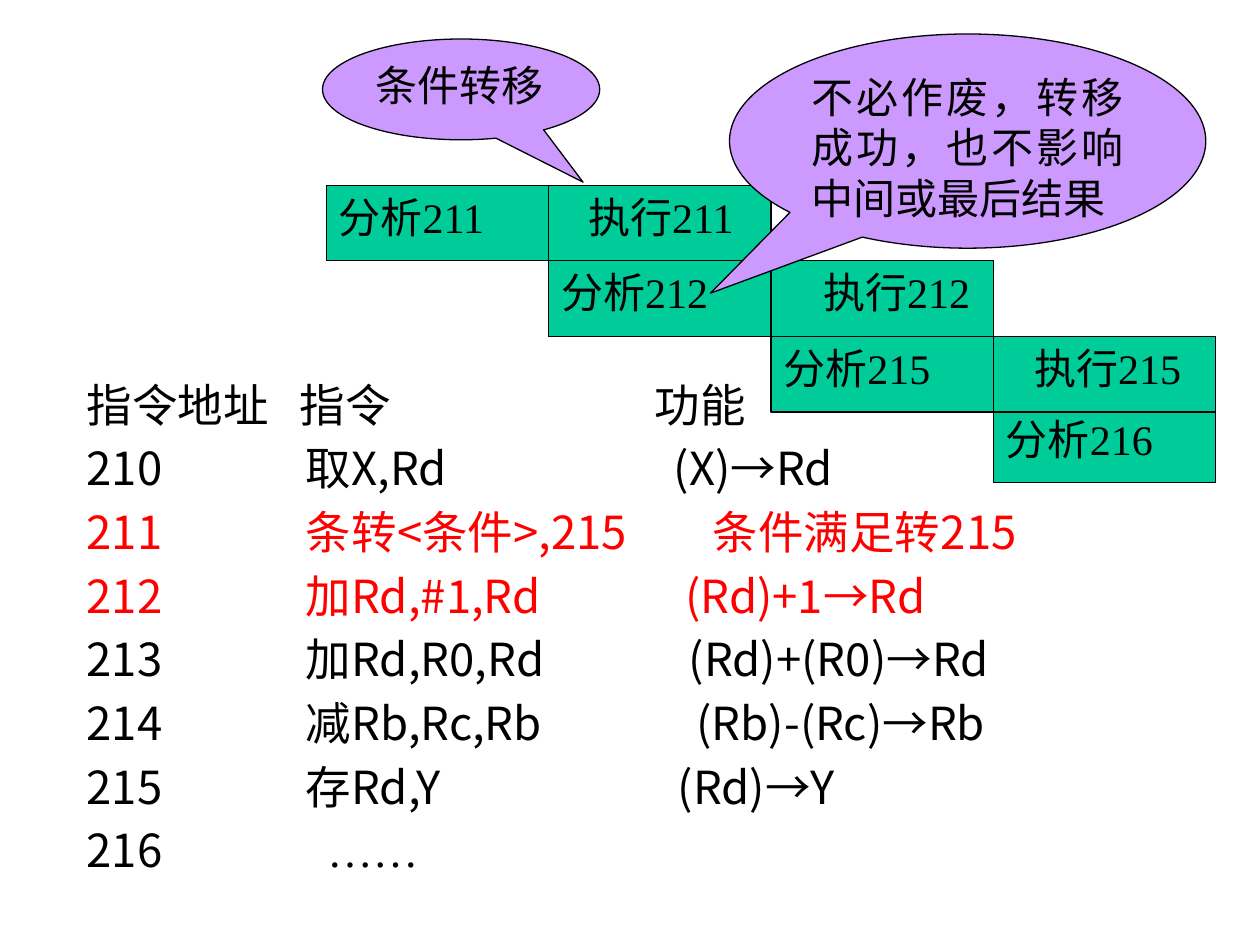
from pptx import Presentation
from pptx.dml.color import RGBColor
from pptx.enum.shapes import MSO_CONNECTOR, MSO_SHAPE
from pptx.enum.text import MSO_ANCHOR, PP_ALIGN
from pptx.oxml.ns import qn
from pptx.util import Inches, Pt
from lxml import etree


def color(value):
    return RGBColor.from_string(value)


def add_label(shape_type, left, top, width, height, fill, text, tab=None):
    shape = slide.shapes.add_shape(
        shape_type, Inches(left), Inches(top), Inches(width), Inches(height))
    shape.shadow.inherit = False
    shape.fill.solid()
    shape.fill.fore_color.rgb = color(fill)
    shape.line.color.rgb = color(BLACK)
    shape.line.width = Pt(0.75)
    shape.text_frame.vertical_anchor = MSO_ANCHOR.TOP
    shape.text_frame.text = text
    paragraph = shape.text_frame.paragraphs[0]
    paragraph.alignment = PP_ALIGN.JUSTIFY
    if tab:
        tab_list = etree.SubElement(paragraph._p.get_or_add_pPr(), qn("a:tabLst"))
        etree.SubElement(tab_list, qn("a:tab"), pos=str(Inches(tab)), algn="l")
    for run in paragraph.runs:
        run.font.name = "Times New Roman"
        run.font.size = Pt(24)
        run.font.color.rgb = color(BLACK)
    return shape


BLACK, RED, GREEN, PURPLE = "000000", "FF0000", "00CC99", "CC99FF"
SANS = "Noto Sans CJK JP"

presentation = Presentation()
presentation.slide_width = Inches(10)
presentation.slide_height = Inches(7.5)
slide = presentation.slides.add_slide(presentation.slide_layouts[6])

# Instruction listing: cells, the tab stops of columns two and three, colour
rows = [
    (["指令地址", "指令", "功能"], [1.69, 4.51], BLACK),
    (["210", "取X,Rd", "(X)→Rd"], [1.74, 4.66], BLACK),
    (["211", "条转<条件>,215", "条件满足转215"], [1.74, 4.97], RED),
    (["212", "加Rd,#1,Rd", "(Rd)+1→Rd"], [1.74, 4.75], RED),
    (["213", "加Rd,R0,Rd", "(Rd)+(R0)→Rd"], [1.74, 4.78], BLACK),
    (["214", "减Rb,Rc,Rb", "(Rb)-(Rc)→Rb"], [1.74, 4.84], BLACK),
    (["215", "存Rd,Y", "(Rd)→Y"], [1.74, 4.69], BLACK),
    (["216", "……"], [1.91], BLACK),
]
listing = slide.shapes.add_textbox(
    Inches(0.59), Inches(2.94), Inches(8.5), Inches(4.28))
listing.text_frame.word_wrap = True
listing.text_frame.text = "\n".join("\t".join(cells) for cells, _, _ in rows)
for index, (paragraph, row) in enumerate(zip(listing.text_frame.paragraphs, rows)):
    cells, stops, row_color = row
    paragraph.space_before = Pt(5.2 if index else 0)
    tab_list = etree.SubElement(paragraph._p.get_or_add_pPr(), qn("a:tabLst"))
    for stop in stops:
        etree.SubElement(tab_list, qn("a:tab"), pos=str(Inches(stop)), algn="l")
    for run in paragraph.runs:
        run.font.size = Pt(26)
        run.font.name = "Times New Roman" if "……" in cells else SANS
        run.font.color.rgb = color(row_color)
        etree.SubElement(run._r.get_or_add_rPr(), qn("a:ea"), typeface=SANS)

# The last row mixes fonts: its address is in the sans font
last_paragraph = listing.text_frame.paragraphs[-1]
dots = last_paragraph.runs[0]
dots.text = "\t……"
address = last_paragraph.add_run()
address.text = "216"
address.font.name = SANS
address.font.size = Pt(26)
address.font.color.rgb = color(BLACK)
dots._r.addprevious(address._r)

# Pipeline staircase: each bar starts half a bar further right, one step down
bar_left, bar_top, stage_width, bar_height = 2.59, 1.47, 1.765, 0.6
add_label(MSO_SHAPE.RECTANGLE, bar_left + 3 * stage_width, 3.23,
          stage_width, bar_height, GREEN, "分析216")
for step, (number, tab) in enumerate([(211, 1.98), (212, 2.08), (215, 1.99)]):
    bar = add_label(
        MSO_SHAPE.RECTANGLE, bar_left + step * stage_width,
        bar_top + step * bar_height, 2 * stage_width, bar_height,
        GREEN, f"分析{number}\t执行{number}", tab)
    divider = slide.shapes.add_connector(MSO_CONNECTOR.STRAIGHT, 0, 0, 0, 0)
    divider.begin_connect(bar, 0)
    divider.end_connect(bar, 2)
    divider.line.color.rgb = color(BLACK)
    divider.line.width = Pt(0.75)
    etree.SubElement(divider._element.spPr, qn("a:effectLst"))

# Callouts
callouts = [
    (5.79, 0.27, 3.78, 1.7, "不必作废，转移成功，也不影响中间或最后结果", (-0.54, 0.71)),
    (2.56, 0.31, 2.2, 0.8, "条件转移", (0.44, 0.92)),
]
for left, top, width, height, text, tip in callouts:
    callout = add_label(MSO_SHAPE.OVAL_CALLOUT, left, top, width, height, PURPLE, text)
    callout.adjustments[0], callout.adjustments[1] = tip

presentation.save("out.pptx")
